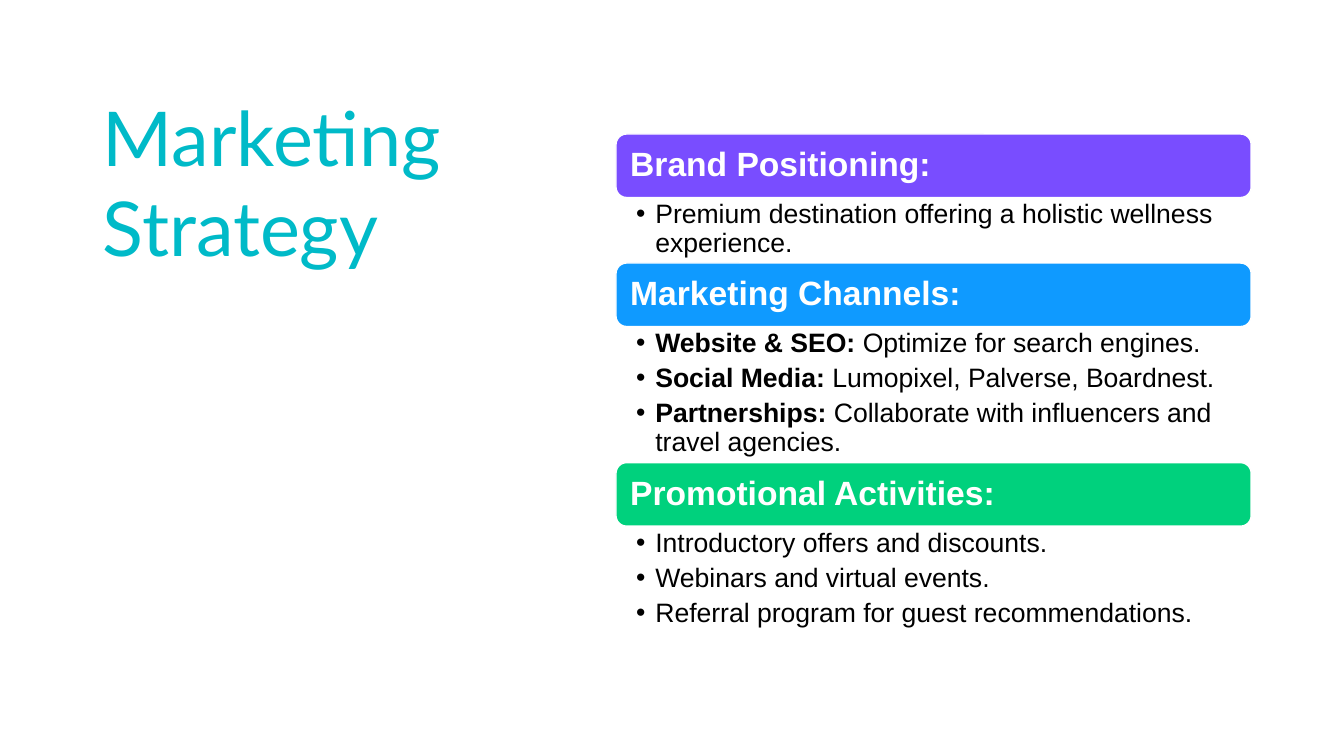
from pptx import Presentation
from pptx.dml.color import RGBColor
from pptx.enum import shapes, text
from pptx.util import Inches, Pt
from lxml import etree

TEAL = RGBColor(0x00, 0xBA, 0xC8)
PURPLE = RGBColor(0x79, 0x4D, 0xFF)
BLUE = RGBColor(0x0F, 0x9A, 0xFF)
GREEN = RGBColor(0x00, 0xD1, 0x7D)
WHITE = RGBColor(0xFF, 0xFF, 0xFF)
BLACK = RGBColor(0, 0, 0)

LEFT, WIDTH, BAR = 6.11, 6.3, 0.63

# Each section: top, colour, heading, body height, points (bold lead, rest)
sections = [
    (1.33, PURPLE, "Brand Positioning:", 0.65, [
        ("", "Premium destination offering a holistic wellness experience.")]),
    (2.61, BLUE, "Marketing Channels:", 1.36, [
        ("Website & SEO:", " Optimize for search engines."),
        ("Social Media:", " Lumopixel, Palverse, Boardnest."),
        ("Partnerships:", " Collaborate with influencers and travel agencies.")]),
    (4.59, GREEN, "Promotional Activities:", 1.06, [
        ("", "Introductory offers and discounts."),
        ("", "Webinars and virtual events."),
        ("", "Referral program for guest recommendations.")]),
]


def set_frame(frame, left, top, right, bottom, anchor):
    format = dict(word_wrap=True, vertical_anchor=anchor,
                  margin_left=Inches(left), margin_top=Inches(top),
                  margin_right=Inches(right), margin_bottom=Inches(bottom))
    for name, value in format.items():
        setattr(frame, name, value)


def add_run(para, words, size, color, bold=False, face="Arial"):
    run = para.add_run()
    run.text = words
    for name, value in dict(size=Pt(size), bold=bold, name=face).items():
        setattr(run.font, name, value)
    run.font.color.rgb = color


deck = Presentation()
deck.slide_width, deck.slide_height = Inches(13.33), Inches(7.5)
slide = deck.slides.add_slide(deck.slide_layouts[6])

# Title
title = slide.shapes.add_textbox(Inches(0.92), Inches(0.85), Inches(4.41), Inches(5.9))
set_frame(title.text_frame, 0.1, 0.05, 0.1, 0.05, text.MSO_ANCHOR.TOP)
add_run(title.text_frame.paragraphs[0], "Marketing Strategy", 54, TEAL, face="Lato")

for top, color, heading, height, points in sections:
    # Heading bar
    bar = slide.shapes.add_shape(shapes.MSO_SHAPE.ROUNDED_RECTANGLE, Inches(LEFT),
                                 Inches(top), Inches(WIDTH), Inches(BAR))
    bar.shadow.inherit = False
    bar.fill.solid()
    bar.fill.fore_color.rgb = color
    bar.line.color.rgb = WHITE
    bar.line.width = Pt(1)
    set_frame(bar.text_frame, 0.11, 0.1, 0.1, 0.1, text.MSO_ANCHOR.MIDDLE)
    para = bar.text_frame.paragraphs[0]
    para.alignment = text.PP_ALIGN.LEFT
    para.line_spacing = 0.9
    add_run(para, heading, 24, WHITE, bold=True)

    # Bulleted points
    body = slide.shapes.add_textbox(Inches(LEFT), Inches(top + BAR),
                                    Inches(WIDTH), Inches(height))
    frame = body.text_frame
    set_frame(frame, 0.2, 0.03, 0.19, 0.03, text.MSO_ANCHOR.TOP)
    for index, (lead, rest) in enumerate(points):
        para = frame.add_paragraph() if index else frame.paragraphs[0]
        para.line_spacing = 0.9
        para.space_after = Pt(4.5)
        props = para._p.get_or_add_pPr()
        props.set("marL", str(Inches(0.19)))
        props.set("indent", str(-Inches(0.19)))
        space = props.nsmap["a"]
        etree.SubElement(props, f"{{{space}}}buFont", typeface="Arial")
        etree.SubElement(props, f"{{{space}}}buChar", char="•")
        if lead:
            add_run(para, lead, 19, BLACK, bold=True)
        add_run(para, rest, 19, BLACK)

deck.save("out.pptx")
